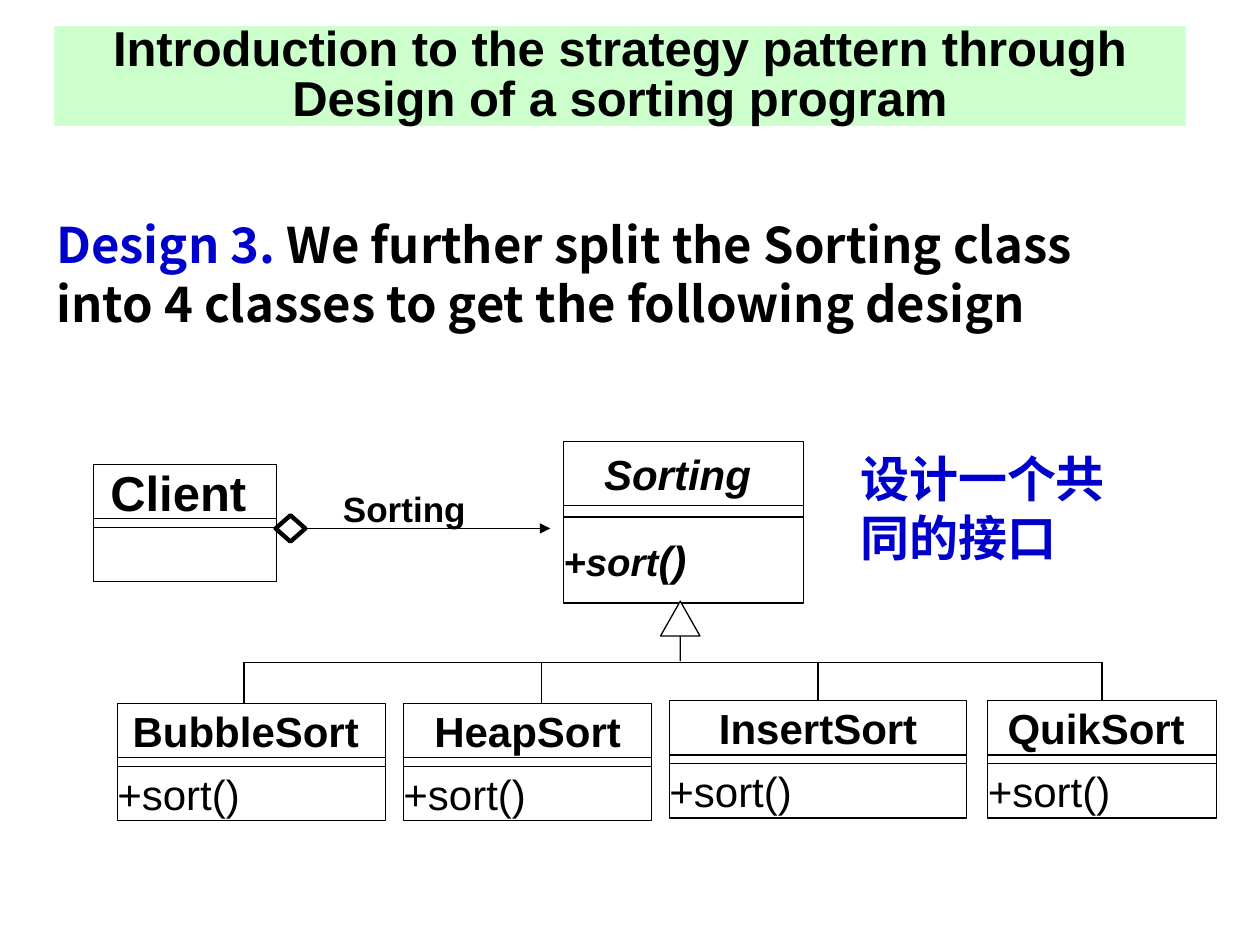
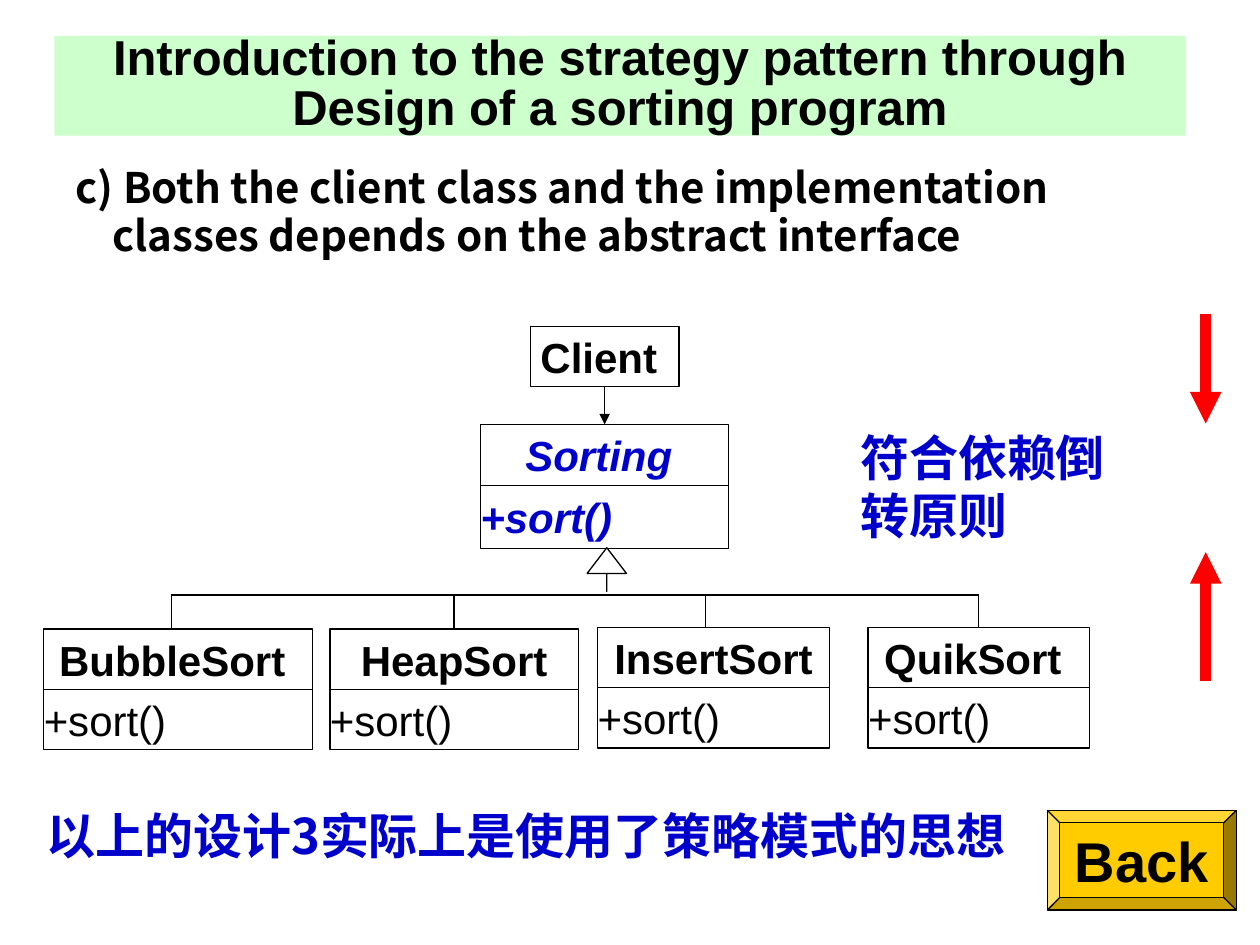
from lxml import etree
from pptx import Presentation
from pptx.dml.color import RGBColor
from pptx.enum import shapes, text
from pptx.oxml import ns
from pptx.util import Pt

LATIN, CJK = "Arial", "Noto Sans CJK SC"
BLACK, BLUE, WHITE, MINT, GOLD, RED = "000000", "0000CC", "FFFFFF", "CCFFCC", "FFCC00", "FF0000"
LEFT, CENTER = text.PP_ALIGN.LEFT, text.PP_ALIGN.CENTER
TOP, MIDDLE = text.MSO_ANCHOR.TOP, text.MSO_ANCHOR.MIDDLE
INSET = (7.2, 3.6)
TITLE = "Introduction to the strategy pattern through Design of a sorting program"
METHOD = "+sort()"
JOIN_TOLERANCE = 2.5

DESIGN = {
    "title_top": 15,
    "body": (25, 122.5, 675, 91),
    "body_size": 28,
    "line_spacing": 0.9,
    "paragraphs": [
        (0, [("Design 3.", BLUE), (" We further split the Sorting class", BLACK)]),
        (0, [("into 4 classes to get the following design", BLACK)]),
    ],
    "notes": [("设计一个共同的接口", (484.5, 253, 181.5, 75))],
    "sorting": (322, 252.5, 137),
    "sorting_rows": (36.5, 6.5, 49),
    "sorting_name": [("Sorting ", 24, BLACK)],
    "sorting_method": [("+sort", 22, BLACK), ("()", 24, BLACK)],
    "client": (53.5, 265.5, 104.5),
    "client_name": "Client ",
    "client_size": 28,
    "rows": (31, 5, 31),
    "inherit": (377.5, 343.5, 22.5, 34),
    "head_ratio": 0.884,
    "bar_y": 378.5,
    "subclasses": [
        ("BubbleSort ", 67, 402, 153.5, 139.5),
        ("HeapSort", 230.5, 402, 142, 309.5),
        ("InsertSort", 382.5, 400.5, 170, 468),
        ("QuikSort ", 564.5, 400.5, 130.5, 628),
    ],
}

DEPENDENCY = {
    "title_top": 20.5,
    "body": (36, 94.5, 648, 73.5),
    "body_size": 24,
    "line_spacing": 0.8,
    "paragraphs": [
        (0, [("c) Both the client class and the implementation", BLACK)]),
        (21, [("classes depends on the abstract interface", BLACK)]),
    ],
    "notes": [
        ("符合依赖倒转原则", (484.5, 240.5, 164, 75)),
        ("以上的设计3实际上是使用了策略模式的思想", (19.5, 457, 566.5, 75)),
    ],
    "sorting": (274.5, 242.5, 142),
    "sorting_rows": (35, 0, 36),
    "sorting_name": [("Sorting ", 24, BLUE)],
    "sorting_method": [(METHOD, 24, BLUE)],
    "client": (303, 186.5, 85),
    "client_name": "Client ",
    "client_size": 24,
    "rows": (34.5, 0, 34.5),
    "inherit": (335.5, 313, 22.5, 25),
    "head_ratio": 0.654,
    "bar_y": 340,
    "subclasses": [
        ("BubbleSort ", 25, 359.5, 153.5, 98),
        ("HeapSort", 188.5, 359.5, 142, 261.5),
        ("InsertSort", 341.5, 358.5, 132.5, 403),
        ("QuikSort ", 496, 358.5, 126.5, 559.5),
    ],
}
ASSOCIATION = {"label": "Sorting", "label_at": (196, 275, 73.5, 31.5),
               "diamond": (157.5, 294.5, 17, 15), "tip": 314.5}
RED_ARROWS = [(689, 179.5, 242), (689, 389, 315.5)]
BACK = ("Back", (598.5, 463, 108, 57))


def rgb(value):
    return RGBColor.from_string(value)


def place(shape, at):
    shape.left, shape.top, shape.width, shape.height = (Pt(v) for v in at)


def add_run(paragraph, words, size, color=BLACK, font=LATIN, bold=True, italic=False):
    run = paragraph.add_run()
    run.text = words
    run.font.size = Pt(size)
    run.font.bold = bold
    run.font.italic = italic
    run.font.color.rgb = rgb(color)
    run.font.name = font
    east_asian = etree.SubElement(run.font._element, ns.qn("a:ea"))
    east_asian.set("typeface", font)


def set_frame(shape, inset=(0, 0), anchor=MIDDLE):
    frame = shape.text_frame
    frame.word_wrap = True
    frame.auto_size = text.MSO_AUTO_SIZE.NONE
    frame.vertical_anchor = anchor
    frame.margin_left = frame.margin_right = Pt(inset[0])
    frame.margin_top = frame.margin_bottom = Pt(inset[1])
    return frame


def add_block(slide, at, kind=shapes.MSO_SHAPE.RECTANGLE, fill=WHITE, line=0.75):
    block = slide.shapes.add_shape(kind, *(Pt(v) for v in at))
    block.shadow.inherit = False
    block.fill.solid()
    block.fill.fore_color.rgb = rgb(fill)
    if line:
        block.line.color.rgb = rgb(BLACK)
        block.line.width = Pt(line)
    else:
        block.line.fill.background()
    return block


def write(shape, runs, align=LEFT, **style):
    paragraph = set_frame(shape).paragraphs[0]
    paragraph.alignment = align
    for words, size, color in runs:
        add_run(paragraph, words, size, color, **style)


def add_line(slide, start, end, color=BLACK, width=0.75, arrow=False):
    line = slide.shapes.add_connector(shapes.MSO_CONNECTOR.STRAIGHT, *(Pt(v) for v in start + end))
    line.line.color.rgb = rgb(color)
    line.line.width = Pt(width)
    if arrow:
        etree.SubElement(line.line._get_or_add_ln(), ns.qn("a:tailEnd"), type="triangle")
    etree.SubElement(line._element.spPr, ns.qn("a:effectLst"))
    return line


def add_title(slide, top):
    title = slide.shapes.title
    place(title, (31, top, 646.5, 57))
    title.fill.solid()
    title.fill.fore_color.rgb = rgb(MINT)
    paragraph = set_frame(title, INSET).paragraphs[0]
    paragraph.alignment = CENTER
    paragraph.line_spacing = 0.85
    add_run(paragraph, TITLE, 28)


def add_body(slide, content):
    body = slide.placeholders[1]
    place(body, content["body"])
    frame = set_frame(body, INSET, TOP)
    for index, (indent, runs) in enumerate(content["paragraphs"]):
        paragraph = frame.add_paragraph() if index else frame.paragraphs[0]
        properties = paragraph._p.get_or_add_pPr()
        properties.set("marL", str(Pt(indent)))
        properties.set("indent", "0")
        etree.SubElement(properties, ns.qn("a:buNone"))
        paragraph.line_spacing = content["line_spacing"]
        paragraph.space_before = Pt(4 if index else 0)
        for words, color in runs:
            add_run(paragraph, words, content["body_size"], color, CJK)


def add_note(slide, words, at):
    note = slide.shapes.add_textbox(*(Pt(v) for v in at))
    add_run(set_frame(note, INSET, TOP).paragraphs[0], words, 28, BLUE, CJK)


def add_class(slide, at, rows, name, method, italic=False, method_bold=False):
    left, top, width = at
    parts = []
    for height in rows:
        if height:
            parts.append(add_block(slide, (left, top, width, height)))
        top += height
    write(parts[0], name, CENTER, italic=italic)
    if method:
        write(parts[-1], method, bold=method_bold, italic=italic)
    return parts[0]


def add_hierarchy(slide, content):
    sorting = add_class(slide, content["sorting"], content["sorting_rows"], content["sorting_name"],
                        content["sorting_method"], italic=True, method_bold=True)
    inherit = add_block(slide, content["inherit"], shapes.MSO_SHAPE.UP_ARROW)
    inherit.adjustments[0] = 0
    inherit.adjustments[1] = content["head_ratio"]
    bar_y = content["bar_y"]
    drops = []
    for name, left, top, width, drop in content["subclasses"]:
        header = add_class(slide, (left, top, width), content["rows"],
                           [(name, 24, BLACK)], [(METHOD, 24, BLACK)])
        middle = left + width / 2
        joined = abs(drop - middle) < JOIN_TOLERANCE
        drop = middle if joined else drop
        line = add_line(slide, (drop, bar_y), (drop, top))
        if joined:
            line.end_connect(header, 0)
        drops.append(drop)
    add_line(slide, (drops[0], bar_y), (drops[-1], bar_y))
    return sorting


def add_pattern_slide(deck, content):
    slide = deck.slides.add_slide(deck.slide_layouts[1])
    add_title(slide, content["title_top"])
    add_body(slide, content)
    for words, at in content["notes"]:
        add_note(slide, words, at)
    return slide, add_hierarchy(slide, content)


def add_association(slide):
    label = add_block(slide, ASSOCIATION["label_at"], line=0)
    write(label, [(ASSOCIATION["label"], 20, BLACK)])
    left, top, width, height = ASSOCIATION["diamond"]
    diamond = add_block(slide, ASSOCIATION["diamond"], shapes.MSO_SHAPE.DIAMOND, line=2.5)
    y = top + height / 2
    line = add_line(slide, (left + width, y), (ASSOCIATION["tip"], y), arrow=True)
    line.begin_connect(diamond, 3)


def main():
    deck = Presentation()
    deck.slide_width, deck.slide_height = Pt(720), Pt(540)

    slide, _ = add_pattern_slide(deck, DESIGN)
    client_name = [(DESIGN["client_name"], DESIGN["client_size"], BLACK)]
    add_class(slide, DESIGN["client"], DESIGN["rows"], client_name, [])
    add_association(slide)

    slide, sorting = add_pattern_slide(deck, DEPENDENCY)
    client_name = [(DEPENDENCY["client_name"], DEPENDENCY["client_size"], BLACK)]
    client = add_class(slide, DEPENDENCY["client"], DEPENDENCY["rows"][:1], client_name, [])
    depends = add_line(slide, (0, 0), (0, 0), arrow=True)
    depends.begin_connect(client, 2)
    depends.end_connect(sorting, 0)
    for x, start, end in RED_ARROWS:
        add_line(slide, (x, start), (x, end), RED, 6, arrow=True)
    words, at = BACK
    back = add_block(slide, at, shapes.MSO_SHAPE.BEVEL, GOLD)
    write(back, [(words, 32, BLACK)], CENTER)

    deck.save("out.pptx")


if __name__ == "__main__":
    main()
